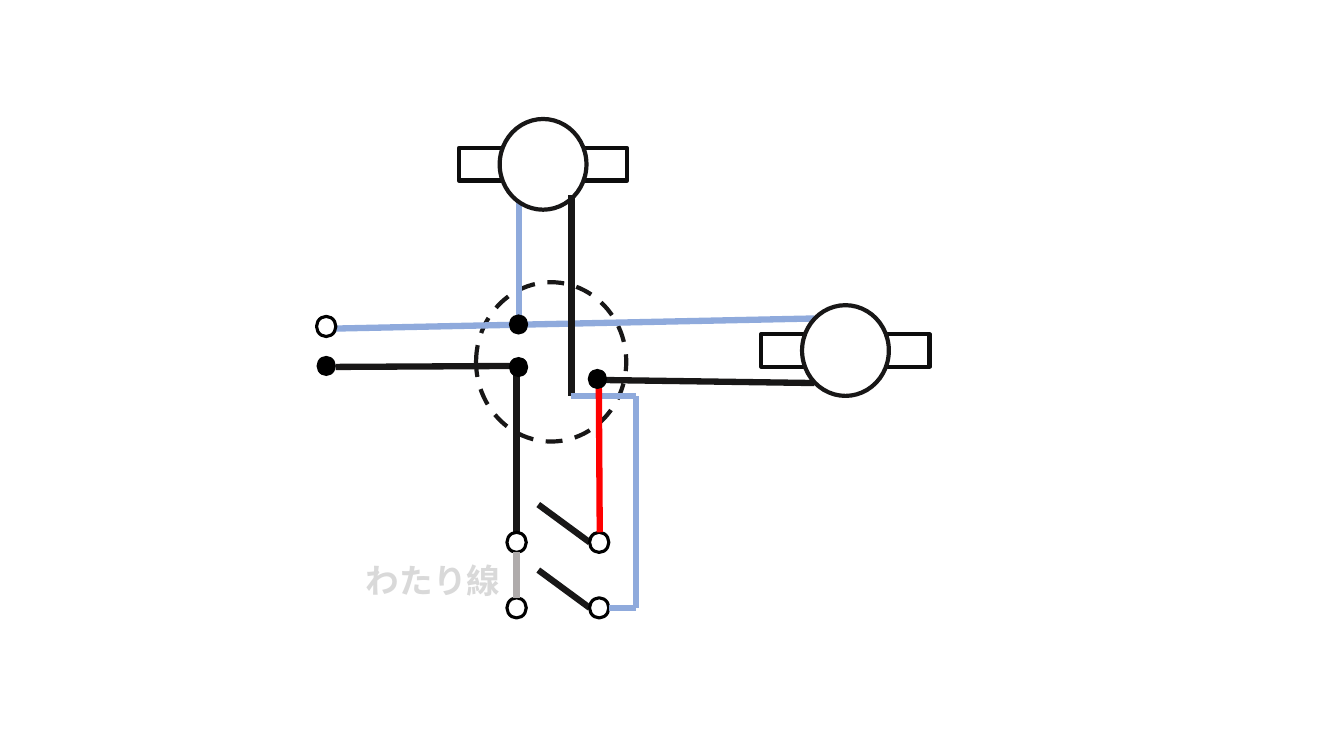
from lxml.etree import SubElement
from pptx import Presentation
from pptx.dml.color import RGBColor
from pptx.enum.dml import MSO_LINE_DASH_STYLE as Dash
from pptx.enum.shapes import MSO_CONNECTOR as Connector, MSO_SHAPE as Shape
from pptx.enum.text import MSO_AUTO_SIZE as AutoSize
from pptx.oxml.ns import qn
from pptx.util import Pt

COLORS = {
    "white": "FFFFFF",
    "black": "000000",
    "outline": "0D0D0D",
    "live": "181717",
    "neutral": "8FAADC",
    "switched": "FF0000",
    "jumper": "AFABAB",
    "label": "D9D9D9",
}
FONT = "Cambria"
UPPER_Y, LOWER_Y = 387.4, 434.2
LEFT_X, RIGHT_X = 369, 428
FEED_X = 233
BOX_BOTTOM, BYPASS_X = 283, 454.3


def color(name):
    return RGBColor.from_string(COLORS[name])


def add_centered(slide, kind, center, size, fill=None, line=None, weight=3):
    (x, y), (width, height) = center, size
    shape = slide.shapes.add_shape(
        kind, Pt(x - width / 2), Pt(y - height / 2), Pt(width), Pt(height))
    shape.shadow.inherit = False
    if fill:
        shape.fill.solid()
        shape.fill.fore_color.rgb = color(fill)
    else:
        shape.fill.background()
    if line:
        shape.line.color.rgb = color(line)
        shape.line.width = Pt(weight)
    else:
        shape.line.fill.background()
    return shape


def add_wire(slide, name, start, end):
    wire = slide.shapes.add_connector(
        Connector.STRAIGHT, *(Pt(value) for value in (*start, *end)))
    wire.line.color.rgb = color(name)
    wire.line.width = Pt(4.5)
    SubElement(wire._element.spPr, qn("a:effectLst"))


def add_lamp(slide, center):
    add_centered(slide, Shape.RECTANGLE, center, (120.2, 23.2), "white", "outline")
    add_centered(slide, Shape.OVAL, center, (62, 64.8), "white", "live")


def add_terminal(slide, center):
    add_centered(slide, Shape.OVAL, center, (13.8, 14.4), None, "black", 2.25)


def add_joint(slide, center):
    add_centered(slide, Shape.OVAL, center, (13.8, 14.4), "black")


def add_switch(slide, y):
    add_wire(slide, "live", (421.2, y), (384.5, y - 27))
    for x in (LEFT_X, RIGHT_X):
        add_terminal(slide, (x, y))


def add_label(slide, text, left, top, width, height):
    box = slide.shapes.add_textbox(Pt(left), Pt(top), Pt(width), Pt(height))
    frame = box.text_frame
    frame.word_wrap = True
    frame.auto_size = AutoSize.SHAPE_TO_FIT_TEXT
    frame.text = text
    font = frame.paragraphs[0].font
    font.name = FONT
    font.size = Pt(24)
    font.bold = True
    font.color.rgb = color("label")


def main():
    presentation = Presentation()
    presentation.slide_width, presentation.slide_height = Pt(960), Pt(540)
    slide = presentation.slides.add_slide(presentation.slide_layouts[6])

    junction_box = add_centered(
        slide, Shape.OVAL, (393.7, 258.5), (107.3, 113.8), "white", "live")
    junction_box.line.dash_style = Dash.DASH

    add_wire(slide, "neutral", (370.6, 139), (370.6, 234.7))
    add_wire(slide, "live", (370.6, 261.4), (239.8, 262.1))
    add_wire(slide, "neutral", (581.8, 227.5), (239.8, 234.7))
    for center in ((387.9, 117.4), (603.9, 250.4)):
        add_lamp(slide, center)

    add_terminal(slide, (FEED_X, 233.2))
    add_joint(slide, (FEED_X, 261.4))
    add_wire(slide, "live", (LEFT_X, 261.4), (LEFT_X, UPPER_Y - 7.2))
    for y in (231.8, 262.2):
        add_joint(slide, (370.4, y))
    for y in (UPPER_Y, LOWER_Y):
        add_switch(slide, y)

    add_wire(slide, "live", (408.2, 139), (408.2, BOX_BOTTOM))
    bypass = [(RIGHT_X + 6.9, LOWER_Y), (BYPASS_X, LOWER_Y),
              (BYPASS_X, BOX_BOTTOM), (408.2, BOX_BOTTOM)]
    for start, end in zip(bypass, bypass[1:]):
        add_wire(slide, "neutral", start, end)

    add_wire(slide, "switched", (427.7, 268.6), (428.4, UPPER_Y - 7.2))
    add_wire(slide, "live", (581.8, 273.6), (428.4, 271.4))
    add_joint(slide, (426.7, 270.7))
    add_wire(slide, "jumper", (LEFT_X, UPPER_Y + 7.2), (LEFT_X, LOWER_Y - 7.2))
    add_label(slide, "わたり線", 254.2, 396.7, 114.5, 36)

    presentation.save("out.pptx")


main()
